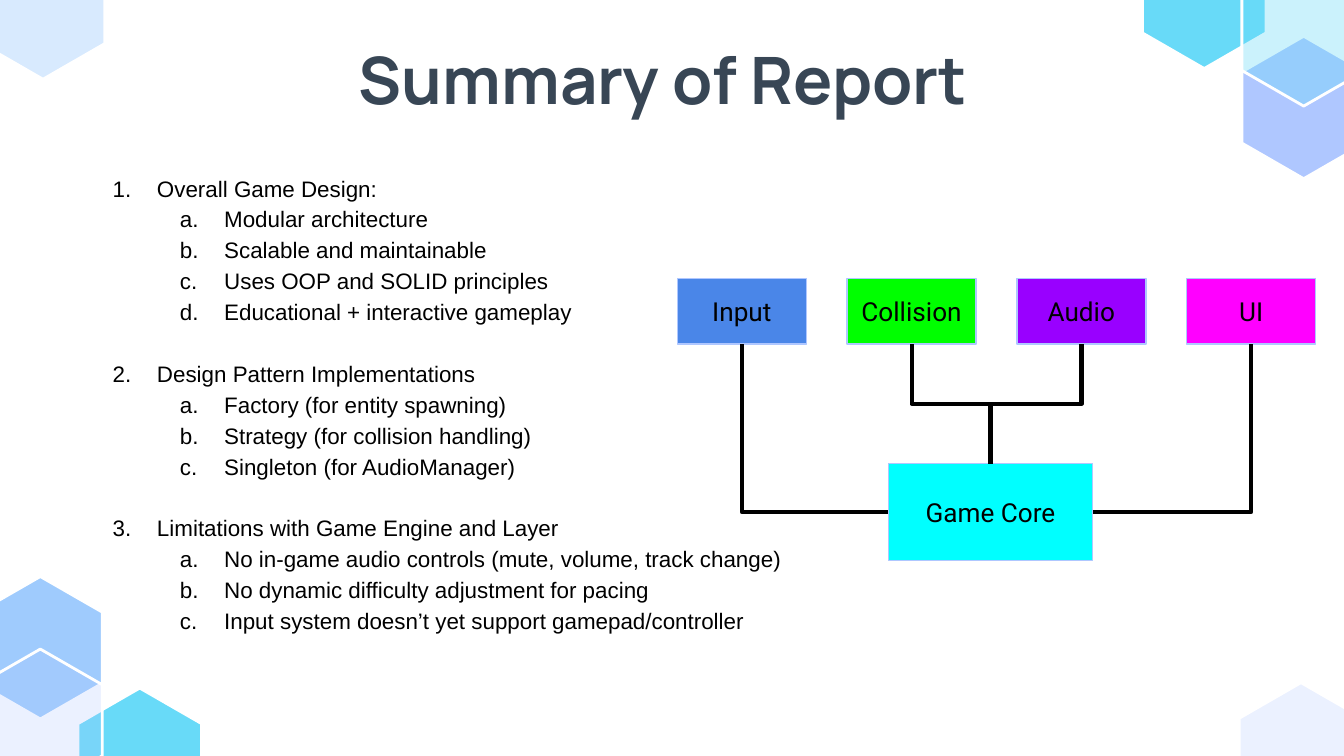
from lxml import etree
from pptx import Presentation
from pptx import util as u
from pptx.dml.color import RGBColor
from pptx.enum import shapes, text
from pptx.oxml.ns import qn

WHITE = RGBColor(0xFF, 0xFF, 0xFF)
BLACK = RGBColor(0x00, 0x00, 0x00)
SLATE = RGBColor(0x38, 0x46, 0x55)
CYAN = RGBColor(0x68, 0xDA, 0xF8)
SKY = RGBColor(0x9F, 0xCB, 0xFD)
PERIWINKLE = RGBColor(0xAF, 0xC7, 0xFF)
BLUE = RGBColor(0x4A, 0x86, 0xE8)
GREEN = RGBColor(0x00, 0xFF, 0x00)
PURPLE = RGBColor(0x99, 0x00, 0xFF)
MAGENTA = RGBColor(0xFF, 0x00, 0xFF)
AQUA = RGBColor(0x00, 0xFF, 0xFF)

# left, top, colour, opacity in percent
HEXAGONS = [
    (0.58, 5.12, CYAN, 100),
    (-0.16, 4.29, SKY, 100),
    (-0.16, 4.83, PERIWINKLE, 24),
    (9.22, 5.08, PERIWINKLE, 24),
    (-0.14, -0.47, SKY, 40),
    (8.5, -0.55, CYAN, 100),
    (9.24, 0.27, PERIWINKLE, 100),
    (9.24, -0.27, CYAN, 34),
]
OUTLINE = [
    ("Overall Game Design:", [
        "Modular architecture",
        "Scalable and maintainable",
        "Uses OOP and SOLID principles",
        "Educational + interactive gameplay"]),
    ("Design Pattern Implementations", [
        "Factory (for entity spawning)",
        "Strategy (for collision handling)",
        "Singleton (for AudioManager)"]),
    ("Limitations with Game Engine and Layer", [
        "No in-game audio controls (mute, volume, track change)",
        "No dynamic difficulty adjustment for pacing",
        "Input system doesn’t yet support gamepad/controller"]),
]
# name, colour, connection side on the core, connector preset
MODULES = [
    ("Input", BLUE, 1, "bentConnector2"),
    ("Collision", GREEN, 0, "bentConnector3"),
    ("Audio", PURPLE, 0, "bentConnector3"),
    ("UI", MAGENTA, 3, "bentConnector2"),
]


def set_insets(tf):
    tf.word_wrap = True
    tf.margin_left = tf.margin_right = u.Inches(0.1)
    tf.margin_top = tf.margin_bottom = u.Inches(0.1)


def add_run(p, words, size, font, color, bold=False):
    r = p.add_run()
    r.text = words
    r.font.size = u.Pt(size)
    r.font.name = font
    r.font.bold = bold
    r.font.color.rgb = color


def add_text_box(s, x, y, w, h):
    tf = s.shapes.add_textbox(*map(u.Inches, (x, y, w, h))).text_frame
    set_insets(tf)
    return tf


def add_hexagon(s, x, y, w, h, color, opacity):
    corners = [(w / 2, 0), (0, h / 4), (0, h * 3 / 4),
               (w / 2, h), (w, h * 3 / 4), (w, h / 4)]
    points = [(u.Inches(x + cx), u.Inches(y + cy)) for cx, cy in corners]
    fb = s.shapes.build_freeform(*points[0])
    fb.add_line_segments(points[1:], close=True)
    sp = fb.convert_to_shape()
    sp.shadow.inherit = False
    sp.fill.solid()
    sp.fill.fore_color.rgb = color
    if opacity < 100:
        clr = sp.fill._xPr.find(".//" + qn("a:srgbClr"))
        etree.SubElement(clr, qn("a:alpha"), val=str(opacity * 1000))
    sp.line.color.rgb = WHITE
    sp.line.width = u.Pt(1.5)


def add_title(s, x, y, w, h):
    p = add_text_box(s, x, y, w, h).paragraphs[0]
    p.alignment = text.PP_ALIGN.CENTER
    add_run(p, "Summary of Report", 35, "Manrope", SLATE, bold=True)


def add_item(p, words, level):
    p.level = level
    p.line_spacing = 1.15
    pPr = p._p.get_or_add_pPr()
    pPr.set("marL", str(u.Inches(0.5 * (level + 1))))
    pPr.set("indent", str(u.Inches(-0.33)))
    clr = etree.SubElement(pPr, qn("a:buClr"))
    etree.SubElement(clr, qn("a:srgbClr"), val=str(BLACK))
    style = ("arabicPeriod", "alphaLcPeriod")[level]
    etree.SubElement(pPr, qn("a:buAutoNum"), type=style)
    add_run(p, words, 12, "Arial", BLACK)


def add_outline(s, x, y, w, h):
    tf = add_text_box(s, x, y, w, h)
    tf.auto_size = text.MSO_AUTO_SIZE.SHAPE_TO_FIT_TEXT
    for i, (heading, items) in enumerate(OUTLINE):
        p = tf.add_paragraph() if i else tf.paragraphs[0]
        if i:
            p.space_before = u.Pt(16.5)
        add_item(p, heading, 0)
        for item in items:
            add_item(tf.add_paragraph(), item, 1)


def add_block(s, x, y, w, h, label, color):
    sp = s.shapes.add_shape(shapes.MSO_SHAPE.RECTANGLE,
                            *map(u.Inches, (x, y, w, h)))
    sp.shadow.inherit = False
    sp.fill.solid()
    sp.fill.fore_color.rgb = color
    sp.line.color.rgb = PERIWINKLE
    sp.line.width = u.Pt(0.75)
    tf = sp.text_frame
    set_insets(tf)
    tf.vertical_anchor = text.MSO_ANCHOR.MIDDLE
    p = tf.paragraphs[0]
    p.alignment = text.PP_ALIGN.CENTER
    add_run(p, label, 14, "Roboto", BLACK)
    return sp


def add_elbow(s, module, core, side, preset):
    """Join a module's bottom to a side of the core, leaving downwards."""
    cxn = s.shapes.add_connector(shapes.MSO_CONNECTOR.ELBOW, 0, 0, 0, 0)
    cxn.begin_connect(module, 2)
    cxn.end_connect(core, side)
    x1, y1, x2, y2 = cxn.begin_x, cxn.begin_y, cxn.end_x, cxn.end_y
    # Turned a quarter, so width and height swap around the same centre
    w, h = abs(y2 - y1), abs(x2 - x1)
    cxn.left, cxn.top = (x1 + x2 - w) // 2, (y1 + y2 - h) // 2
    cxn.width, cxn.height = w, h
    rightward = x2 > x1
    cxn.rotation = 270 if rightward else 90
    spPr = cxn._element.spPr
    spPr.xfrm.flipH, spPr.xfrm.flipV = rightward, False
    spPr.find(qn("a:prstGeom")).set("prst", preset)
    cxn.line.color.rgb = BLACK
    cxn.line.width = u.Pt(2.25)
    etree.SubElement(spPr, qn("a:effectLst"))


def add_diagram(s, x, y, w, h):
    block_w, block_h = 0.96, 0.49
    core_w, core_h = 1.52, 0.72
    pitch = (w - block_w) / (len(MODULES) - 1)
    blocks = [add_block(s, x + i * pitch, y, block_w, block_h, name, color)
              for i, (name, color, _, _) in enumerate(MODULES)]
    core = add_block(s, x + 1.57, y + h - core_h, core_w, core_h,
                     "Game Core", AQUA)
    for block, (_, _, side, preset) in zip(blocks, MODULES):
        add_elbow(s, block, core, side, preset)


def main():
    prs = Presentation()
    # Widescreen, 16 to 9
    prs.slide_width = u.Inches(10)
    prs.slide_height = prs.slide_width * 9 // 16
    s = prs.slides.add_slide(prs.slide_layouts[6])
    # Corner decoration
    for x, y, color, opacity in HEXAGONS:
        add_hexagon(s, x, y, 0.92, 1.06, color, opacity)
    # Title, numbered outline and module diagram
    add_title(s, 0.72, 0.19, 8.43, 0.63)
    add_outline(s, 0.57, 1.17, 6.94, 3.66)
    add_diagram(s, 5.04, 2.07, 4.75, 2.1)
    prs.save("out.pptx")


if __name__ == "__main__":
    main()
